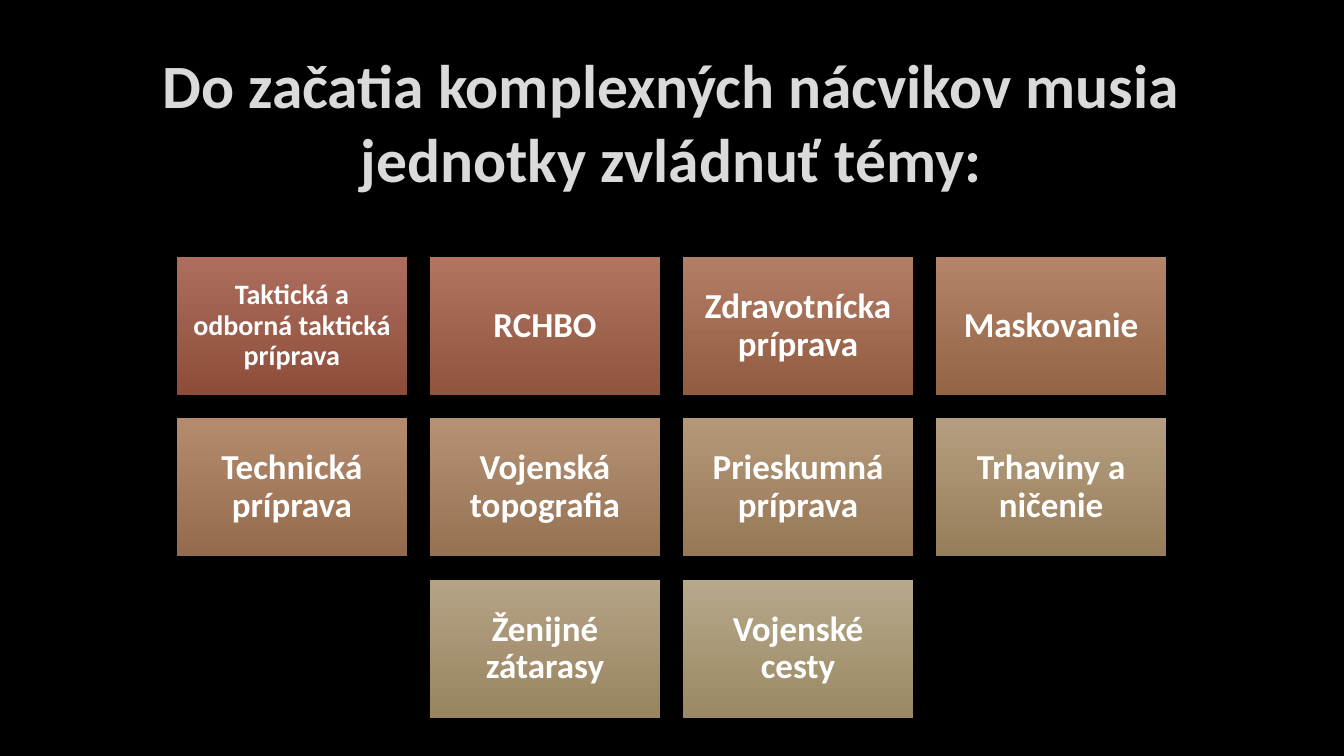
from pptx import Presentation
from pptx.dml.color import RGBColor
from pptx.enum.shapes import MSO_SHAPE as Shape
from pptx.enum.text import MSO_ANCHOR as Anchor, PP_ALIGN as Align
from pptx.util import Inches, Pt

TITLE = "Do začatia komplexných nácvikov musia jednotky zvládnuť témy:"
TOPIC_ROWS = [
    [("Taktická a odborná taktická príprava", "AD6E5E", "8E4D3A"),
     ("RCHBO", "B07561", "90553E"),
     ("Zdravotnícka príprava", "B27D65", "925C42"),
     ("Maskovanie", "B48469", "946446")],
    [("Technická príprava", "B58B6E", "946B4C"),
     ("Vojenská topografia", "B59274", "947252"),
     ("Prieskumná príprava", "B5987A", "967856"),
     ("Trhaviny a ničenie", "B59E80", "977E5B")],
    [("Ženijné zátarasy", "B5A386", "998460"),
     ("Vojenské cesty", "B6A88B", "9A8964")],
]
BLACK = RGBColor(0, 0, 0)
WHITE = RGBColor(255, 255, 255)
SILVER = RGBColor(0xDA, 0xDA, 0xDA)
FONT = "Calibri"
SLIDE_WIDTH, SLIDE_HEIGHT = 13.33, 7.5
CARD_WIDTH, CARD_HEIGHT, GAP = 2.28, 1.37, 0.23
GRID_CENTER, GRID_TOP = 6.66, 2.55
LONG_TEXT = 30


def write(box, text, size, color, inset):
    """Put one centred bold paragraph into a box."""
    frame = box.text_frame
    frame.text = text
    frame.word_wrap = True
    frame.vertical_anchor = Anchor.MIDDLE
    frame.margin_left = frame.margin_right = Inches(inset)
    frame.margin_top = frame.margin_bottom = Inches(inset)
    para = frame.paragraphs[0]
    para.alignment = Align.CENTER
    font = para.runs[0].font
    font.name, font.size, font.bold = FONT, Pt(size), True
    font.color.rgb = color
    return para


def add_card(page, left, top, topic):
    """Draw one topic card with a vertical gradient."""
    text, upper, lower = topic
    card = page.shapes.add_shape(Shape.RECTANGLE, Inches(left), Inches(top),
                                 Inches(CARD_WIDTH), Inches(CARD_HEIGHT))
    card.shadow.inherit = False
    card.line.fill.background()
    card.fill.gradient()
    card.fill.gradient_angle = 270
    for stop, shade in zip(card.fill.gradient_stops, (upper, lower)):
        stop.color.rgb = RGBColor.from_string(shade)
    size, inset = (20, 0.08) if len(text) > LONG_TEXT else (25, 0.1)
    write(card, text, size, WHITE, inset).line_spacing = 0.9


def main():
    """Build the slide and save it."""
    deck = Presentation()
    deck.slide_width, deck.slide_height = Inches(SLIDE_WIDTH), Inches(SLIDE_HEIGHT)
    page = deck.slides.add_slide(deck.slide_layouts[6])
    page.background.fill.solid()
    page.background.fill.fore_color.rgb = BLACK
    title = page.shapes.add_textbox(Inches(1), Inches(0.67), Inches(11.32), Inches(1.06))
    write(title, TITLE, 44, SILVER, 0.1)
    for row, topics in enumerate(TOPIC_ROWS):
        row_width = len(topics) * (CARD_WIDTH + GAP) - GAP
        for column, topic in enumerate(topics):
            left = GRID_CENTER - row_width / 2 + column * (CARD_WIDTH + GAP)
            add_card(page, left, GRID_TOP + row * (CARD_HEIGHT + GAP), topic)
    deck.save("out.pptx")


if __name__ == "__main__":
    main()
